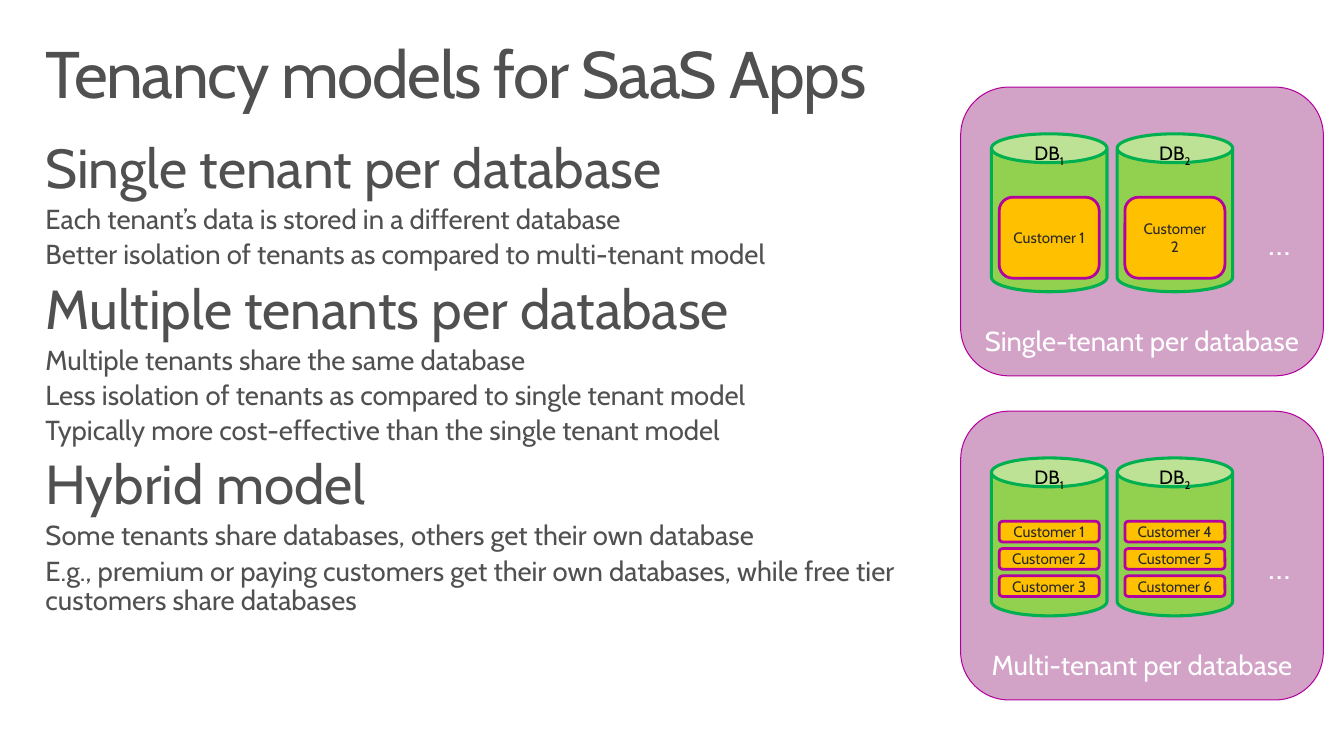
from dataclasses import dataclass

from pptx import Presentation
from pptx.dml.color import RGBColor
from pptx.enum.shapes import MSO_SHAPE
from pptx.enum.text import MSO_ANCHOR, MSO_AUTO_SIZE, PP_ALIGN
from pptx.util import Cm, Pt


@dataclass(frozen=True)
class Theme:
    font: str = "Cabin"
    text: str = "505050"
    white: str = "FFFFFF"
    black: str = "000000"
    panel: str = "D2A2C7"
    purple: str = "B4009E"
    db: str = "92D050"
    db_line: str = "00B050"
    customer: str = "FFC000"
    customer_text: str = "282828"
    title_size: int = 48
    heading_size: int = 40
    body_size: int = 20
    dots_size: int = 24
    db_size: int = 14
    customer_size: int = 11


MODELS = [
    ("Single tenant per database", [
        "Each tenant’s data is stored in a different database",
        "Better isolation of tenants as compared to multi-tenant model"]),
    ("Multiple tenants per database", [
        "Multiple tenants share the same database",
        "Less isolation of tenants as compared to single tenant model",
        "Typically more cost-effective than the single tenant model"]),
    ("Hybrid model", [
        "Some tenants share databases, others get their own database",
        "E.g., premium or paying customers get their own databases, "
        "while free tier customers share databases"]),
]


class SlideBuilder:
    def __init__(self, prs, theme):
        self.theme = theme
        self.s = prs.slides.add_slide(prs.slide_layouts[5])
        self.shapes = self.s.shapes

    def frame(self, sp, inset_x, inset_y, anchor=MSO_ANCHOR.TOP):
        """Set margins, anchor and wrapping, and return the text frame."""
        tf = sp.text_frame
        tf.margin_left = tf.margin_right = Cm(inset_x)
        tf.margin_top = tf.margin_bottom = Cm(inset_y)
        tf.vertical_anchor = anchor
        tf.word_wrap = True
        tf.auto_size = MSO_AUTO_SIZE.NONE
        return tf

    def style(self, p, size, color, align=PP_ALIGN.CENTER):
        p.alignment = align
        p.font.name = self.theme.font
        p.font.size = Pt(size)
        p.font.color.rgb = RGBColor.from_string(color)

    def title(self, text):
        sp = self.s.shapes.title
        sp.left, sp.top, sp.width, sp.height = Cm(0.76), Cm(0.81), Cm(33.02), Cm(2.54)
        p = self.frame(sp, 0.41, 0.25).paragraphs[0]
        r = p.add_run()
        r.text = text
        r._r.get_or_add_rPr().set("spc", "-100")
        self.style(p, self.theme.title_size, self.theme.text, PP_ALIGN.LEFT)
        p.line_spacing = 0.9

    def body(self, models):
        t = self.theme
        sp = self.shapes.add_textbox(Cm(0.76), Cm(3.38), Cm(23.5), Cm(14.27))
        tf = self.frame(sp, 0.41, 0.25)
        lines = [line for heading, points in models
                 for line in [(0, heading)] + [(1, point) for point in points]]
        for i, (level, text) in enumerate(lines):
            p = tf.add_paragraph() if i else tf.paragraphs[0]
            p.text = text
            p.level = level
            p._p.get_or_add_pPr().set("marL", "0")
            size = t.body_size if level else t.heading_size
            self.style(p, size, t.text, PP_ALIGN.LEFT)
            p.line_spacing = 0.9
            p.space_before = Pt(size * 0.2)

    def shape(self, kind, x, y, w, h, fill, line, weight):
        sp = self.shapes.add_shape(kind, Cm(x), Cm(y), Cm(w), Cm(h))
        sp.shadow.inherit = False
        sp.fill.solid()
        sp.fill.fore_color.rgb = RGBColor.from_string(fill)
        sp.line.color.rgb = RGBColor.from_string(line)
        sp.line.width = Pt(weight)
        return sp

    def customer(self, x, y, h, number):
        t = self.theme
        sp = self.shape(MSO_SHAPE.ROUNDED_RECTANGLE, x, y, 2.57, h, t.customer, t.purple, 2)
        p = self.frame(sp, 0.25, 0.13, MSO_ANCHOR.MIDDLE).paragraphs[0]
        p.text = f"Customer {number}"
        self.style(p, t.customer_size, t.customer_text)

    def database(self, x, y, number, customers):
        t = self.theme
        self.shape(MSO_SHAPE.CAN, x, y, 2.97, 4.06, t.db, t.db_line, 2.25)
        label = self.shapes.add_textbox(Cm(x), Cm(y + 0.15), Cm(2.97), Cm(0.76))
        p = self.frame(label, 0, 0, MSO_ANCHOR.MIDDLE).paragraphs[0]
        p.add_run().text = "DB"
        r = p.add_run()
        r.text = str(number)
        r._r.get_or_add_rPr().set("baseline", "-25000")
        self.style(p, t.db_size, t.black)
        height = 2.08 if len(customers) == 1 else 0.53
        for row, customer in enumerate(customers):
            self.customer(x + 0.2, y + 1.63 + row * 0.7, height, customer)

    def dots(self, x, y):
        sp = self.shapes.add_textbox(Cm(x), Cm(y), Cm(1.65), Cm(1.75))
        p = self.frame(sp, 0.51, 0.41).paragraphs[0]
        p.text = "…"
        self.style(p, self.theme.dots_size, self.theme.white, PP_ALIGN.LEFT)
        p.line_spacing = 0.9

    def panel(self, x, y, caption, databases):
        """Draw one tenancy model as a group; databases lists customers per database."""
        t = self.theme
        self.shapes = self.s.shapes.add_group_shape().shapes
        sp = self.shape(MSO_SHAPE.ROUNDED_RECTANGLE, x, y, 9.32, 7.42, t.panel, t.purple, 0.75)
        p = self.frame(sp, 0, 0.13, MSO_ANCHOR.BOTTOM).paragraphs[0]
        p.text = caption
        self.style(p, t.body_size, t.white)
        for i, customers in enumerate(databases):
            self.database(x + 0.79 + i * 3.23, y + 1.2, i + 1, customers)
        self.dots(x + 7.39, y + 3.18)
        self.shapes = self.s.shapes


def main():
    prs = Presentation()
    prs.slide_width, prs.slide_height = Cm(34.54), Cm(19.43)
    slide = SlideBuilder(prs, Theme())
    slide.title("Tenancy models for SaaS Apps")
    slide.body(MODELS)
    slide.panel(24.69, 2.24, "Single-tenant per database", [[1], [2]])
    slide.panel(24.69, 10.57, "Multi-tenant per database", [[1, 2, 3], [4, 5, 6]])
    prs.save("out.pptx")


if __name__ == "__main__":
    main()
